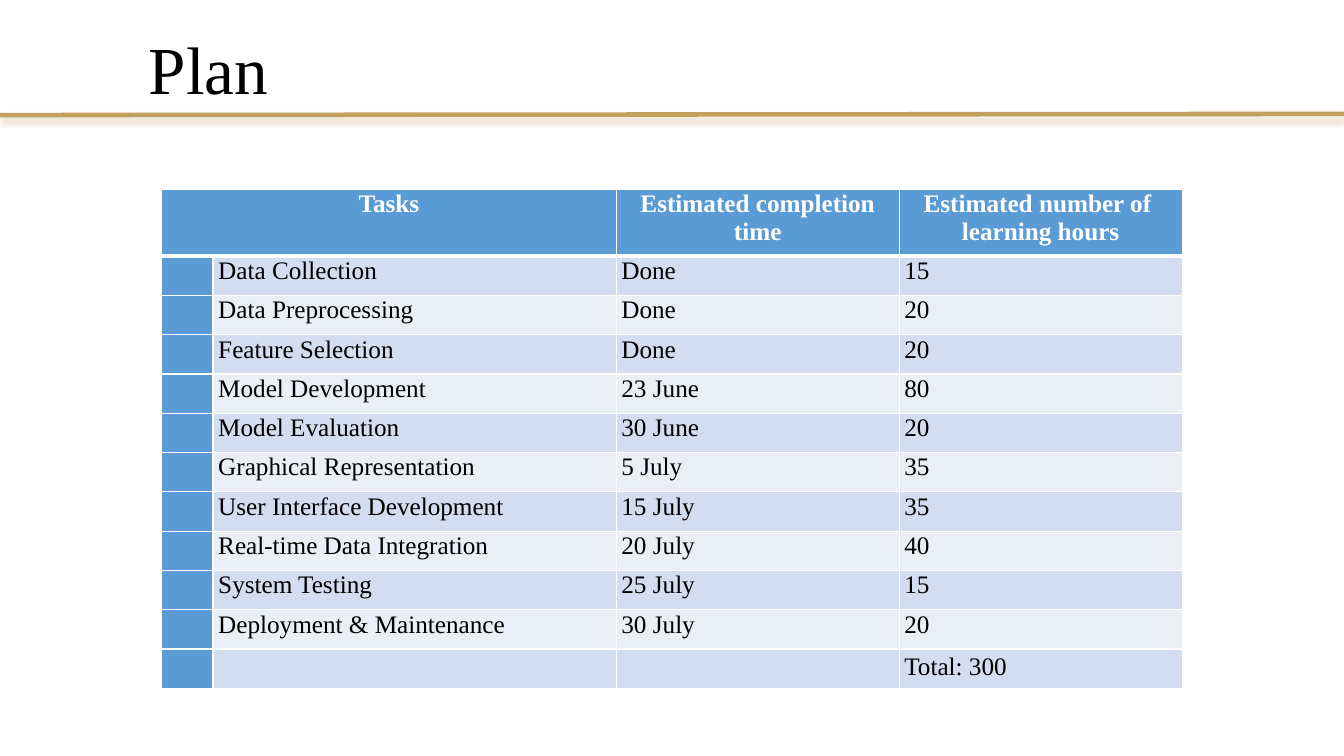
from lxml.etree import SubElement
from pptx import Presentation
from pptx.dml.color import RGBColor
from pptx.enum.shapes import MSO_CONNECTOR
from pptx.enum.text import MSO_ANCHOR, MSO_AUTO_SIZE, PP_ALIGN
from pptx.oxml.ns import qn
from pptx.util import Cm, Pt

STRAIGHT = MSO_CONNECTOR.STRAIGHT
MIDDLE = MSO_ANCHOR.MIDDLE
CENTER, LEFT = PP_ALIGN.CENTER, PP_ALIGN.LEFT
FIT_SHAPE = MSO_AUTO_SIZE.SHAPE_TO_FIT_TEXT

FONT = "Times New Roman"
COLORS = {
    "text": "000000",
    "white": "FFFFFF",
    "rule": "C4A05F",
    "header": "5B9BD5",
    "odd": "D2DEEF",
    "even": "EAEFF7",
}
COLUMN_WIDTHS = (1.3, 10.16, 7.13, 7.13)
HEADER_HEIGHT, ROW_HEIGHT = 1.65, 0.99
HEADINGS = ("Tasks", "", "Estimated completion time", "Estimated number of \nlearning hours")
TASKS = (
    ("Data Collection", "Done", 15),
    ("Data Preprocessing", "Done", 20),
    ("Feature Selection", "Done", 20),
    ("Model Development", "23 June", 80),
    ("Model Evaluation", "30 June", 20),
    ("Graphical Representation", "5 July", 35),
    ("User Interface Development", "15 July", 35),
    ("Real-time Data Integration", "20 July", 40),
    ("System Testing", "25 July", 15),
    ("Deployment & Maintenance", "30 July", 20),
)


def color(name):
    """Return the named colour."""
    return RGBColor.from_string(COLORS[name])


def format_text(text_frame, size, color_name, bold=False, alignment=LEFT):
    """Apply one style to every run of a text frame."""
    for paragraph in text_frame.paragraphs:
        paragraph.alignment = alignment
        for run in paragraph.runs:
            run.font.name = FONT
            run.font.size = Pt(size)
            run.font.bold = bold
            run.font.color.rgb = color(color_name)


def add_color(parent, name):
    """Append a named colour element and return it."""
    return SubElement(parent, qn("a:srgbClr"), val=COLORS[name])


def add_rule(slide, left, top, width, rise):
    """Draw the gold line with its soft shadow below."""
    rule = slide.shapes.add_connector(
        STRAIGHT, Cm(left), Cm(top), Cm(left + width), Cm(top - rise))
    rule.line.color.rgb = color("rule")
    rule.line.width = Pt(3.25)
    effects = SubElement(rule._element.spPr, qn("a:effectLst"))
    shadow = SubElement(
        effects, qn("a:outerShdw"), blurRad=str(Pt(4)), dist=str(Pt(3)),
        dir="5400000", algn="t", rotWithShape="0")
    SubElement(add_color(shadow, "rule"), qn("a:alpha"), val="40000")


def add_title(slide, left, top, width, height):
    """Place the slide title."""
    title = slide.shapes.add_textbox(Cm(left), Cm(top), Cm(width), Cm(height))
    text_frame = title.text_frame
    text_frame.text = "Plan"
    text_frame.word_wrap = False
    text_frame.auto_size = FIT_SHAPE
    format_text(text_frame, 48, "text")


def add_borders(cell, top, bottom):
    """Give a cell white borders, with the top and bottom widths in points."""
    properties = cell._tc.get_or_add_tcPr()
    for side, width in (("L", 1), ("R", 1), ("T", top), ("B", bottom)):
        border = SubElement(properties, qn(f"a:ln{side}"), w=str(Pt(width)))
        add_color(SubElement(border, qn("a:solidFill")), "white")


def fill_cell(cell, text, row, column):
    """Write and style one cell according to its place in the table."""
    is_header = row == 0
    cell.margin_left = cell.margin_right = cell.margin_bottom = Cm(0.13)
    cell.margin_top = Cm(0.02)
    add_borders(cell, 3 if row == 1 else 1, 3 if is_header else 1)
    band = "odd" if row % 2 else "even"
    cell.fill.solid()
    cell.fill.fore_color.rgb = color("header" if is_header or column == 0 else band)
    cell.text_frame.text = text
    format_text(cell.text_frame, 18, "white" if is_header else "text",
                is_header, CENTER if is_header else LEFT)


def add_plan_table(slide, left, top):
    """Build the task table with its total row."""
    total = sum(hours for _, _, hours in TASKS)
    rows = [HEADINGS]
    rows += [("", task, date, str(hours)) for task, date, hours in TASKS]
    rows.append(("", "", "", f"Total: {total}"))
    height = HEADER_HEIGHT + ROW_HEIGHT * (len(rows) - 1)
    table = slide.shapes.add_table(
        len(rows), len(COLUMN_WIDTHS), Cm(left), Cm(top),
        Cm(sum(COLUMN_WIDTHS)), Cm(height)).table
    for column, width in zip(table.columns, COLUMN_WIDTHS):
        column.width = Cm(width)
    for row, texts in enumerate(rows):
        table.rows[row].height = Cm(ROW_HEIGHT if row else HEADER_HEIGHT)
        for column, text in enumerate(texts):
            fill_cell(table.cell(row, column), text, row, column)
    table.cell(0, 0).merge(table.cell(0, 1))
    table.cell(len(rows) - 1, 3).vertical_anchor = MIDDLE


def main():
    """Create and save the plan slide."""
    presentation = Presentation()
    presentation.slide_width, presentation.slide_height = Cm(33.87), Cm(19.05)
    slide = presentation.slides.add_slide(presentation.slide_layouts[6])
    add_rule(slide, 0, 2.9, 33.87, 0.03)
    add_title(slide, 3.5, 0.56, 3.53, 2.31)
    add_plan_table(slide, 4.07, 4.78)
    presentation.save("out.pptx")


if __name__ == "__main__":
    main()
